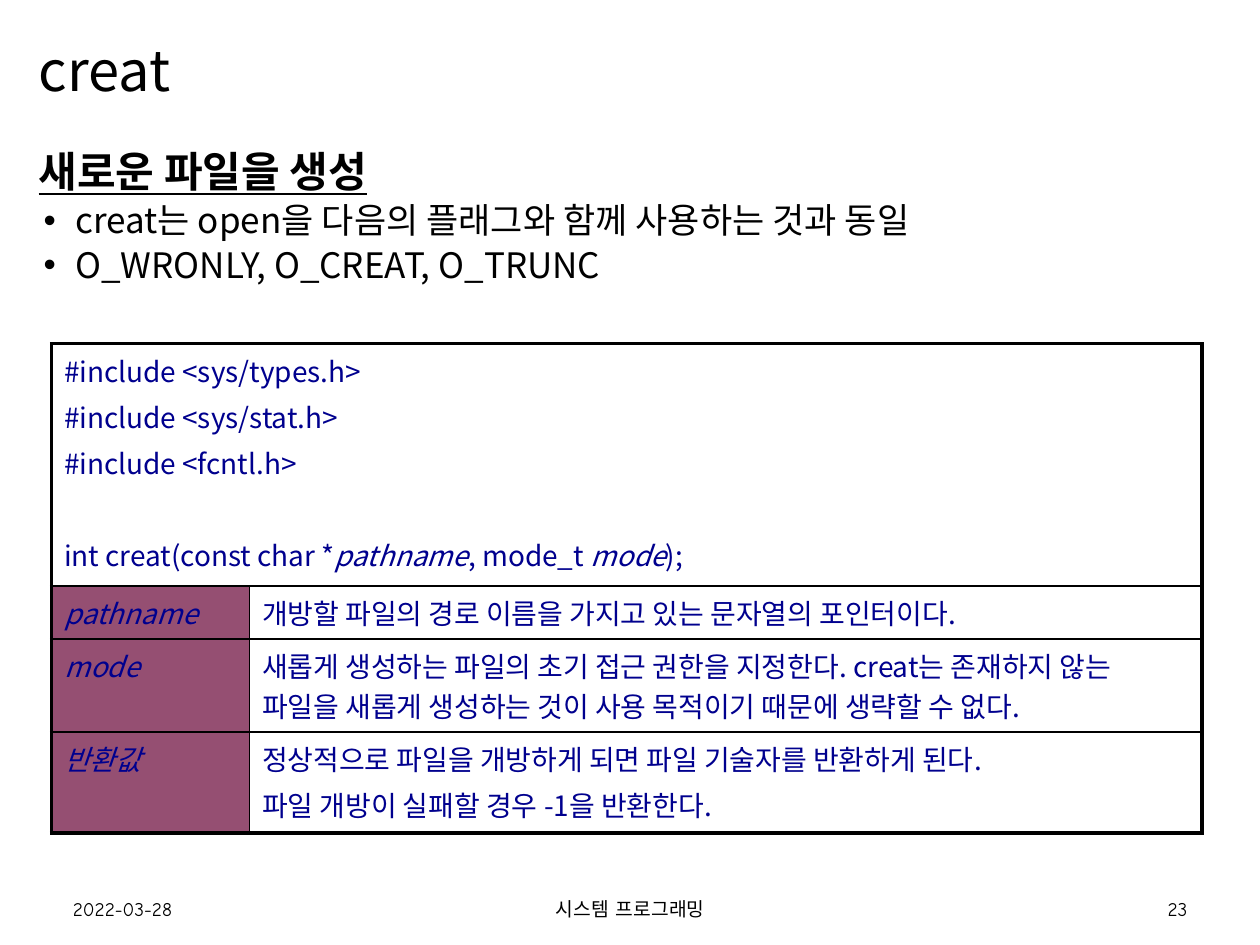
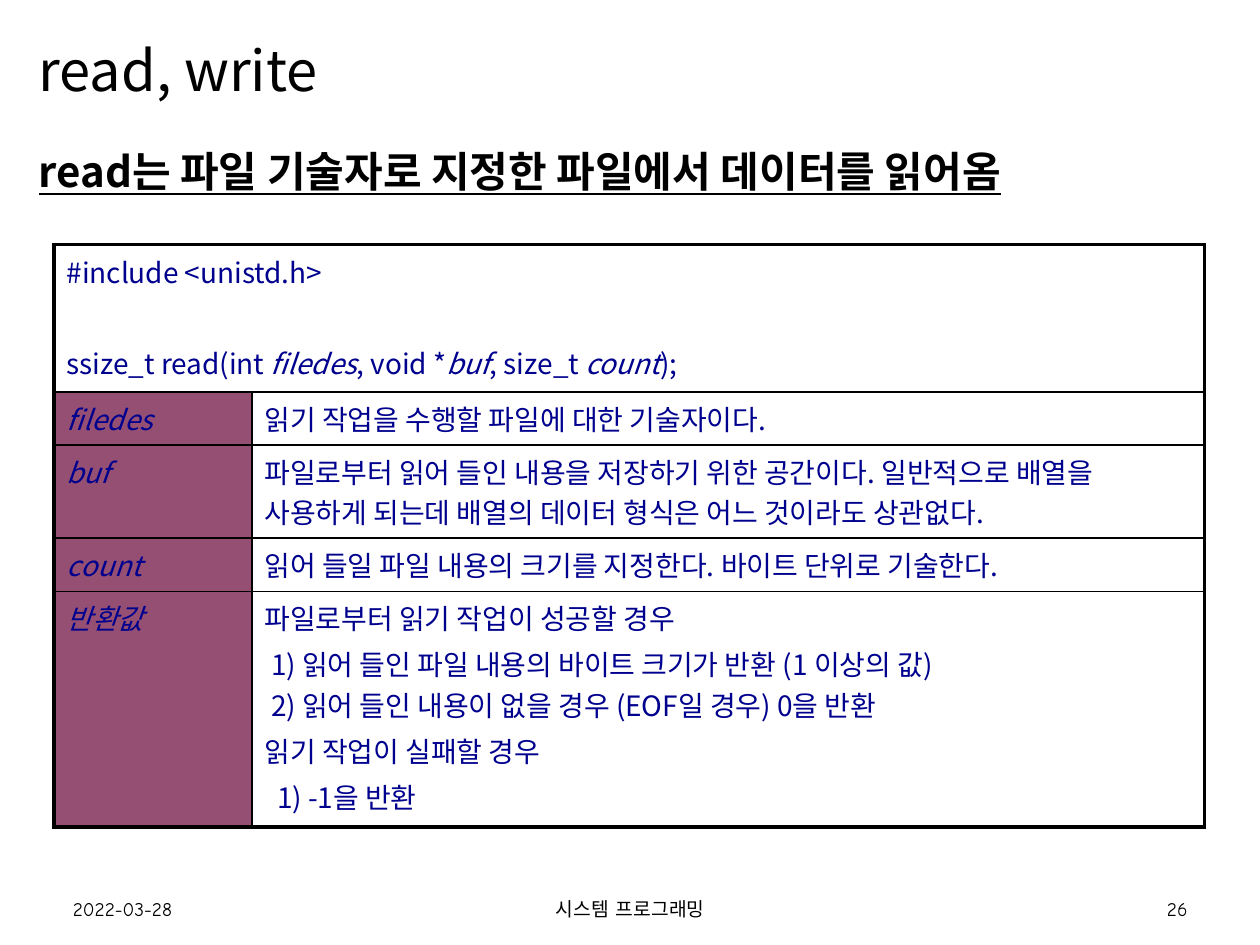
import pptx
import pptx.util
import pptx.dml.color
import pptx.enum.text
import pptx.oxml.ns
import lxml.etree
from dataclasses import dataclass, field

Cm, Pt = pptx.util.Cm, pptx.util.Pt
RGB = pptx.dml.color.RGBColor.from_string
ALIGN = pptx.enum.text.PP_ALIGN
ANCHOR = pptx.enum.text.MSO_ANCHOR
qn = pptx.oxml.ns.qn


@dataclass(frozen=True)
class Theme:
    ink: str = "000000"
    code: str = "00008E"
    label_fill: str = "954F72"
    font: str = "Noto Sans CJK KR"
    footer_font: str = "Comic Neue"
    title: float = 32
    heading: float = 24
    bullet: float = 20
    table: float = 16
    footer: float = 11
    tight: float = 0.9
    outer_line: float = 2.25
    inner_line: float = 1


T = Theme()

# Boxes are left, top, width, height in centimetres.
TITLE_BOX = (0.53, 0.25, 24.33, 2.46)
BODY_BOX = (0.53, 2.92, 24.33, 14.86)
FOOTER_BOX = (1.22, 17.96, 22.97, 0.71)
COLUMNS = (3.99, 19.2)
PARAGRAPH_GAP = 0.2 * T.table
SECTION_GAP = 29.4


@dataclass
class Para:
    """A table paragraph; runs are (text, italic) pairs or a plain string."""
    runs: object
    gap: float = PARAGRAPH_GAP
    indent: float = 0

    def pairs(self):
        return [(self.runs, False)] if isinstance(self.runs, str) else self.runs


@dataclass
class Reference:
    """One slide that documents a system call."""
    title: str
    heading: str
    page: str
    origin: tuple
    heights: tuple
    synopsis: list
    entries: list
    bullets: list = field(default_factory=list)


def add_run(p, text, size, color=T.ink, font=T.font, **style):
    """Add a run, turning each newline into a line break."""
    for i, line in enumerate(text.split("\n")):
        if i:
            p.add_line_break()
        r = p.add_run()
        r.text = line
        r.font.size, r.font.name = Pt(size), font
        r.font.color.rgb = RGB(color)
        for name, value in style.items():
            setattr(r.font, name, value)
        ea = lxml.etree.Element(qn("a:ea"), typeface=font)
        r.font._element.find(qn("a:latin")).addnext(ea)


def next_paragraph(tf, i):
    return tf.add_paragraph() if i else tf.paragraphs[0]


def add_textbox(s, box, anchor=ANCHOR.TOP):
    tf = s.shapes.add_textbox(*map(Cm, box)).text_frame
    tf.word_wrap = True
    tf.vertical_anchor = anchor
    return tf


def add_title(s, box, text):
    p = add_textbox(s, box, ANCHOR.MIDDLE).paragraphs[0]
    p.line_spacing = T.tight
    add_run(p, text, T.title)


def set_bullet(p):
    pPr = p._p.get_or_add_pPr()
    pPr.set("marL", str(Cm(0.74)))
    pPr.set("indent", str(-Cm(0.64)))
    lxml.etree.SubElement(pPr, qn("a:buFont"), typeface="Arial")
    lxml.etree.SubElement(pPr, qn("a:buChar"), char="•")


def add_body(s, box, heading, bullets):
    tf = add_textbox(s, box)
    p = tf.paragraphs[0]
    p.line_spacing = T.tight
    add_run(p, heading, T.heading, bold=True, underline=True)
    for text in bullets:
        p = tf.add_paragraph()
        p.line_spacing, p.space_before = T.tight, Pt(4)
        set_bullet(p)
        add_run(p, text, T.bullet)


def add_footer(s, box, page):
    left, top, width, height = box
    side, middle = 5.72, 8.59
    parts = (
        ("2022-03-28", 0, side, ALIGN.LEFT),
        ("시스템 프로그래밍", (width - middle) / 2, middle, ALIGN.CENTER),
        (page, width - side, side, ALIGN.RIGHT),
    )
    for text, x, w, align in parts:
        p = add_textbox(s, (left + x, top, w, height), ANCHOR.MIDDLE).paragraphs[0]
        p.alignment = align
        add_run(p, text, T.footer, font=T.footer_font)


def set_borders(cell, outer):
    """Draw all four borders, heavier on the sides named in outer."""
    tcPr = cell._tc.get_or_add_tcPr()
    for i, side in enumerate("LRTB"):
        width = T.outer_line if side in outer else T.inner_line
        ln = lxml.etree.Element(qn("a:ln" + side), w=str(Pt(width)))
        fill = lxml.etree.SubElement(ln, qn("a:solidFill"))
        lxml.etree.SubElement(fill, qn("a:srgbClr"), val=T.ink)
        tcPr.insert(i, ln)


def fill_cell(cell, paras):
    for i, para in enumerate(paras):
        p = next_paragraph(cell.text_frame, i)
        if i:
            p.space_before = Pt(para.gap)
        if para.indent:
            p._p.get_or_add_pPr().set("marL", str(Cm(para.indent)))
        for text, italic in para.pairs():
            add_run(p, text, T.table, T.code, italic=italic)


def add_reference_table(s, origin, heights, synopsis, entries):
    """Synopsis across the top row, then one row per argument."""
    size = (sum(COLUMNS), sum(heights))
    frame = s.shapes.add_table(len(heights), 2, *map(Cm, origin + size))
    table = frame.table
    table.first_row = table.horz_banding = False
    for column, width in zip(table.columns, COLUMNS):
        column.width = Cm(width)
    last = len(heights) - 1
    for i, height in enumerate(heights):
        table.rows[i].height = Cm(height)
        for j, side in enumerate("LR"):
            cell = table.cell(i, j)
            if i and j == 0:
                cell.fill.solid()
                cell.fill.fore_color.rgb = RGB(T.label_fill)
            else:
                cell.fill.background()
            outer = "LRT" if i == 0 else side + "B" * (i == last)
            set_borders(cell, outer)
    table.cell(0, 0).merge(table.cell(0, 1))
    fill_cell(table.cell(0, 0), synopsis)
    for i, (label, paras) in enumerate(entries, 1):
        fill_cell(table.cell(i, 0), [Para([(label, True)])])
        fill_cell(table.cell(i, 1), paras)


def add_reference_slide(prs, ref):
    s = prs.slides.add_slide(prs.slide_layouts[6])
    add_title(s, TITLE_BOX, ref.title)
    add_body(s, BODY_BOX, ref.heading, ref.bullets)
    add_footer(s, FOOTER_BOX, ref.page)
    add_reference_table(s, ref.origin, ref.heights, ref.synopsis, ref.entries)


CREAT = Reference(
    title="creat",
    heading="새로운 파일을 생성",
    bullets=["creat는 open을 다음의 플래그와 함께 사용하는 것과 동일",
             "O_WRONLY, O_CREAT, O_TRUNC"],
    page="23",
    origin=(1.04, 6.93),
    heights=(4.88, 1.07, 1.88, 2.03),
    synopsis=[
        Para("#include <sys/types.h>"),
        Para("#include <sys/stat.h>"),
        Para("#include <fcntl.h>"),
        Para([("int creat(const char *", False), ("pathname", True),
              (", mode_t ", False), ("mode", True), (");", False)], SECTION_GAP),
    ],
    entries=[
        ("pathname", [Para("개방할 파일의 경로 이름을 가지고 있는 문자열의 포인터이다.")]),
        ("mode", [Para("새롭게 생성하는 파일의 초기 접근 권한을 지정한다. creat는 존재하지 않는 "
                       "파일을 새롭게 생성하는 것이 사용 목적이기 때문에 생략할 수 없다.")]),
        ("반환값", [Para("정상적으로 파일을 개방하게 되면 파일 기술자를 반환하게 된다."),
                 Para("파일 개방이 실패할 경우 -1을 반환한다.")]),
    ],
)

READ = Reference(
    title="read, write",
    heading="read는 파일 기술자로 지정한 파일에서 데이터를 읽어옴",
    page="26",
    origin=(1.09, 4.93),
    heights=(2.97, 1.07, 1.88, 1.07, 4.75),
    synopsis=[
        Para("#include <unistd.h>"),
        Para([("ssize_t read(int ", False), ("filedes", True), (", void *", False),
              ("buf", True), (", size_t ", False), ("count", True), (");", False)],
             SECTION_GAP),
    ],
    entries=[
        ("filedes", [Para("읽기 작업을 수행할 파일에 대한 기술자이다.")]),
        ("buf", [Para("파일로부터 읽어 들인 내용을 저장하기 위한 공간이다. 일반적으로 배열을 "
                      "사용하게 되는데 배열의 데이터 형식은 어느 것이라도 상관없다.")]),
        ("count", [Para("읽어 들일 파일 내용의 크기를 지정한다. 바이트 단위로 기술한다.")]),
        ("반환값", [
            Para("파일로부터 읽기 작업이 성공할 경우"),
            Para("1) 읽어 들인 파일 내용의 바이트 크기가 반환 (1 이상의 값)\n"
                 "2) 읽어 들인 내용이 없을 경우 (EOF일 경우) 0을 반환", indent=0.13),
            Para("읽기 작업이 실패할 경우"),
            Para("1) -1을 반환", indent=0.25),
        ]),
    ],
)


def main():
    prs = pptx.Presentation()
    prs.slide_width, prs.slide_height = Cm(25.4), Cm(19.05)
    for ref in (CREAT, READ):
        add_reference_slide(prs, ref)
    prs.save("out.pptx")


if __name__ == "__main__":
    main()
